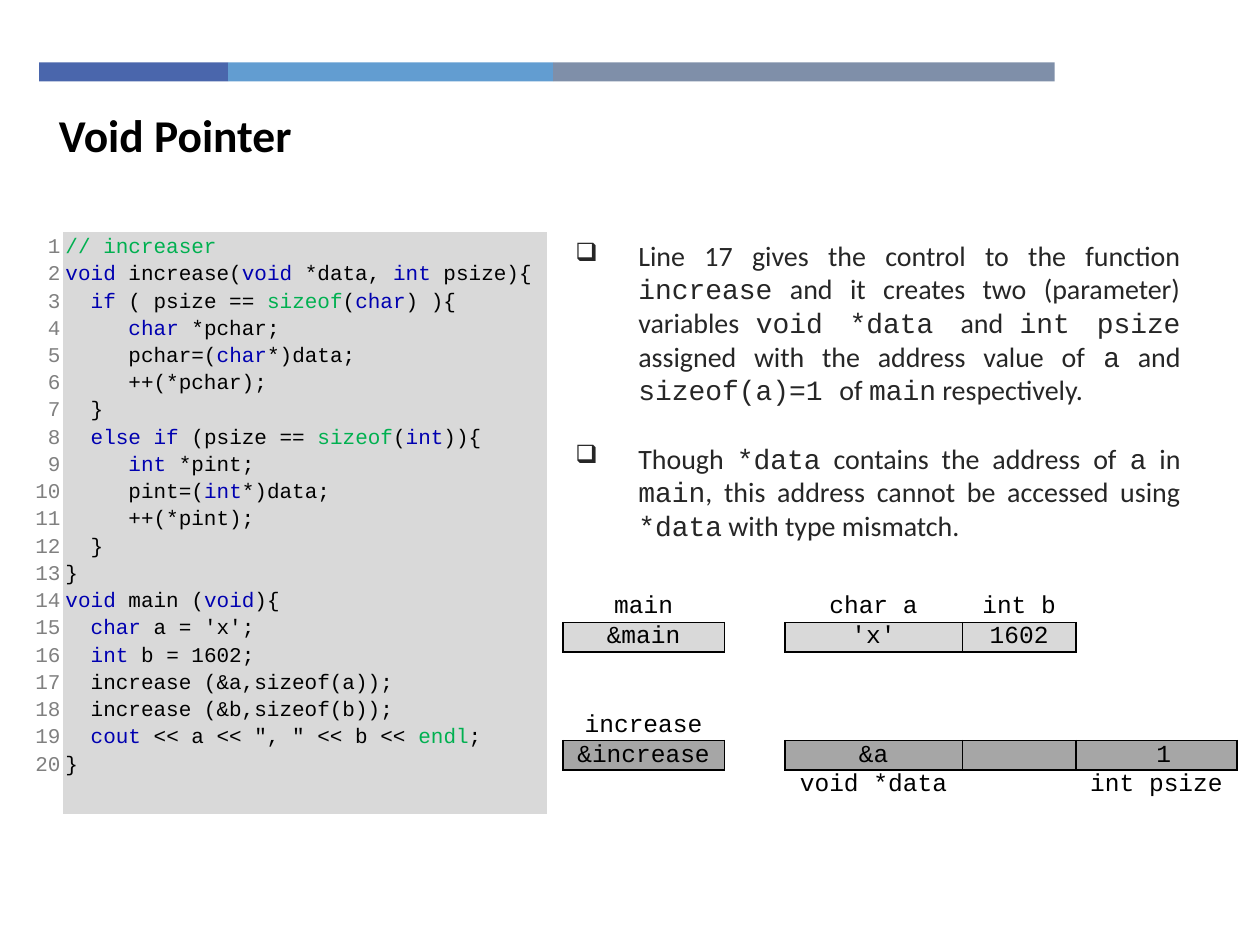
from lxml import etree
from pptx import Presentation
from pptx.dml.color import RGBColor
from pptx.enum.shapes import MSO_SHAPE
from pptx.enum.text import MSO_ANCHOR, PP_ALIGN
from pptx.oxml.ns import qn
from pptx.util import Cm, Pt

RECTANGLE = MSO_SHAPE.RECTANGLE
TOP, MIDDLE = MSO_ANCHOR.TOP, MSO_ANCHOR.MIDDLE
LEFT, CENTER, RIGHT, JUSTIFY = (
    PP_ALIGN.LEFT, PP_ALIGN.CENTER, PP_ALIGN.RIGHT, PP_ALIGN.JUSTIFY)

BLACK = RGBColor(0x00, 0x00, 0x00)
DARK = RGBColor(0x26, 0x26, 0x26)
GRAY = RGBColor(0x80, 0x80, 0x80)
PALE = RGBColor(0xD9, 0xD9, 0xD9)
MEDIUM = RGBColor(0xA6, 0xA6, 0xA6)
KEYWORD = RGBColor(0x00, 0x00, 0xB0)
GREEN = RGBColor(0x00, 0xB0, 0x50)
INDIGO = RGBColor(0x4A, 0x66, 0xAC)
SKY = RGBColor(0x62, 0x9D, 0xD1)
SLATE = RGBColor(0x7F, 0x8F, 0xA9)

PLAIN_TABLE = "{2D5ABB26-0587-4C30-8999-92F81FD0307C}"
GREEN_WORDS = ("// increaser", "sizeof", "endl")

# Text between bars is highlighted
CODE = """\
|// increaser|
|void| increase(|void |*data, |int |psize){
  |if| ( psize == |sizeof|(|char|) ){
     |char| *pchar;
     pchar=(|char|*)data;
     ++(*pchar);
  }
  |else if |(psize == |sizeof|(|int|)){
     |int| *pint;
     pint=(|int|*)data;
     ++(*pint);
  }
}
|void| main (|void|){
  |char| a = 'x';
  |int| b = 1602;
  increase (&a,sizeof(a));
  increase (&b,sizeof(b));
  |cout| << a << ", " << b << |endl|;
}""".split("\n")

# Text between bars is set in the code font
NOTES = [
    "Line 17 gives the control to the function |increase| and it creates two "
    "(parameter) variables |void *data |and |int psize |assigned with the "
    "address value of |a| and |sizeof(a)=1 |of |main| respectively.",
    "Though |*data| contains the address of |a| in |main|, this address "
    "cannot be accessed using |*data| with type mismatch.",
]

# Each memory row: height, fill of its boxes, column spans, texts (None: no box)
MEMORY_WIDTHS = [3.25, 0.75, 0.47, 0.47, 1.42, 1.22, 0.47, 0.47, 0.67, 1.15, 3.25]
FIELDS = [1, 2, 4, 3, 1]
MEMORY = [
    (0.61, None, FIELDS, ["main", None, "char a", "int b", None]),
    (0.56, PALE, FIELDS, ["&main", None, "'x'", "1602", None]),
    (0.6, None, [1, 1, 1, 1, 2, 1, 1, 2, 1], [None] * 9),
    (0.49, None, FIELDS, [None] * 5),
    (0.58, None, [1, 2, 2, 2, 2, 1, 1], ["increase"] + [None] * 6),
    (0.56, MEDIUM, FIELDS, ["&increase", None, "&a", "", " 1"]),
    (0.56, None, FIELDS, [None, None, "void *data", None, "int psize"]),
]
GAP_ROW = 2


class SlideWriter:
    text_font = "Calibri"
    code_font = "Courier New"

    def __init__(self, page):
        self.page = page

    def style(self, para, size, color, name, align=LEFT, bold=False):
        para.alignment = align
        font = para.font
        font.size, font.name, font.bold = Pt(size), name, bold
        font.color.rgb = color

    def spans(self, para, marked, highlight):
        for index, part in enumerate(marked.split("|")):
            if part:
                span = para.add_run()
                span.text = part
                if index % 2:
                    highlight(span)

    def paragraphs(self, frame, count):
        return [frame.paragraphs[0]] + [
            frame.add_paragraph() for _ in range(count - 1)]

    def bar(self, left, top, width, height, color):
        bar = self.page.shapes.add_shape(
            RECTANGLE, Cm(left), Cm(top), Cm(width), Cm(height))
        bar.shadow.inherit = False
        bar.fill.solid()
        bar.fill.fore_color.rgb = color
        bar.line.fill.background()

    def text_frame(self, left, top, width, height, anchor):
        box = self.page.shapes.add_textbox(
            Cm(left), Cm(top), Cm(width), Cm(height))
        frame = box.text_frame
        frame.word_wrap = True
        frame.vertical_anchor = anchor
        return frame

    def title(self, text, *place):
        para = self.text_frame(*place, MIDDLE).paragraphs[0]
        para.text = text
        self.style(para, 26, BLACK, self.text_font, bold=True)

    def bullets(self, items, *place):
        def as_code(span):
            span.font.name = self.code_font

        frame = self.text_frame(*place, TOP)
        for index, para in enumerate(self.paragraphs(frame, len(items))):
            properties = para._p.get_or_add_pPr()
            properties.set("marL", str(Cm(1.27)))
            properties.set("indent", str(-Cm(1.27)))
            etree.SubElement(properties, qn("a:buSzPct"), val="90000")
            etree.SubElement(properties, qn("a:buChar"), char="❑")
            if index:
                para.space_before = Pt(20)
            self.style(para, 16, DARK, self.text_font, JUSTIFY)
            self.spans(para, items[index], as_code)

    def table(self, left, top, widths, heights):
        table = self.page.shapes.add_table(
            len(heights), len(widths), Cm(left), Cm(top),
            Cm(sum(widths)), Cm(sum(heights))).table
        table.first_row = table.horz_banding = False
        table._tbl.tblPr.find(qn("a:tableStyleId")).text = PLAIN_TABLE
        for column, width in zip(table.columns, widths):
            column.width = Cm(width)
        for row, height in zip(table.rows, heights):
            row.height = Cm(height)
        return table

    def cell(self, cell, side, edge, color=None, border=False):
        cell.margin_left = cell.margin_right = Cm(side)
        cell.margin_top = cell.margin_bottom = Cm(edge)
        if border:
            properties = cell._tc.get_or_add_tcPr()
            for name in ("a:lnL", "a:lnR", "a:lnT", "a:lnB"):
                line = etree.SubElement(properties, qn(name), w=str(Pt(1)))
                fill = etree.SubElement(line, qn("a:solidFill"))
                etree.SubElement(fill, qn("a:srgbClr"), val=str(BLACK))
        if color is None:
            cell.fill.background()
        else:
            cell.fill.solid()
            cell.fill.fore_color.rgb = color

    def code_listing(self, lines, left, top, widths, height):
        def colour(span):
            span.font.color.rgb = (
                GREEN if span.text in GREEN_WORDS else KEYWORD)

        table = self.table(left, top, widths, [height])
        numbers, code = table.cell(0, 0), table.cell(0, 1)
        self.cell(numbers, 0.05, 0.02)
        self.cell(code, 0.05, 0.02, PALE)
        para = numbers.text_frame.paragraphs[0]
        para.text = "\v".join(str(n + 1) for n in range(len(lines)))
        para.line_spacing = 1.15
        self.style(para, 12, GRAY, self.code_font, RIGHT)
        for para, line in zip(
                self.paragraphs(code.text_frame, len(lines)), lines):
            para.line_spacing = 1.15
            self.style(para, 12, BLACK, self.code_font)
            self.spans(para, line, colour)

    def memory_map(self, rows, left, top, widths):
        table = self.table(left, top, widths, [row[0] for row in rows])
        for r, (_, color, spans, texts) in enumerate(rows):
            c = 0
            for span, text in zip(spans, texts):
                boxed = color is not None and text is not None
                for part in range(c, c + span):
                    cell = table.cell(r, part)
                    self.cell(cell, 0.18, 0, color if boxed else None, boxed)
                    cell.vertical_anchor = MIDDLE
                    self.style(cell.text_frame.paragraphs[0], 14, BLACK,
                               self.code_font, CENTER)
                first = table.cell(r, c)
                if text:
                    first.text_frame.paragraphs[0].text = text
                if span > 1:
                    first.merge(table.cell(r, c + span - 1))
                c += span
        for c in (0, len(widths) - 1):
            table.cell(GAP_ROW, c).merge(table.cell(GAP_ROW + 1, c))


def main():
    deck = Presentation()
    deck.slide_width, deck.slide_height = Cm(25.4), Cm(19.05)
    writer = SlideWriter(deck.slides.add_slide(deck.slide_layouts[6]))

    # Header band
    left = 0.79
    for width, color in ((3.81, INDIGO), (6.55, SKY), (10.11, SLATE)):
        writer.bar(left, 1.26, width, 0.38, color)
        left += width

    # Title, explanation and code
    writer.title("Void Pointer", 0.94, 2.03, 18.19, 1.37)
    writer.bullets(NOTES, 11.35, 4.68, 12.7, 6.6)
    writer.code_listing(CODE, 0.48, 4.67, [0.79, 9.75], 11.73)

    # Memory of both functions
    writer.memory_map(MEMORY, 11.35, 11.94, MEMORY_WIDTHS)

    deck.save("out.pptx")


if __name__ == "__main__":
    main()
